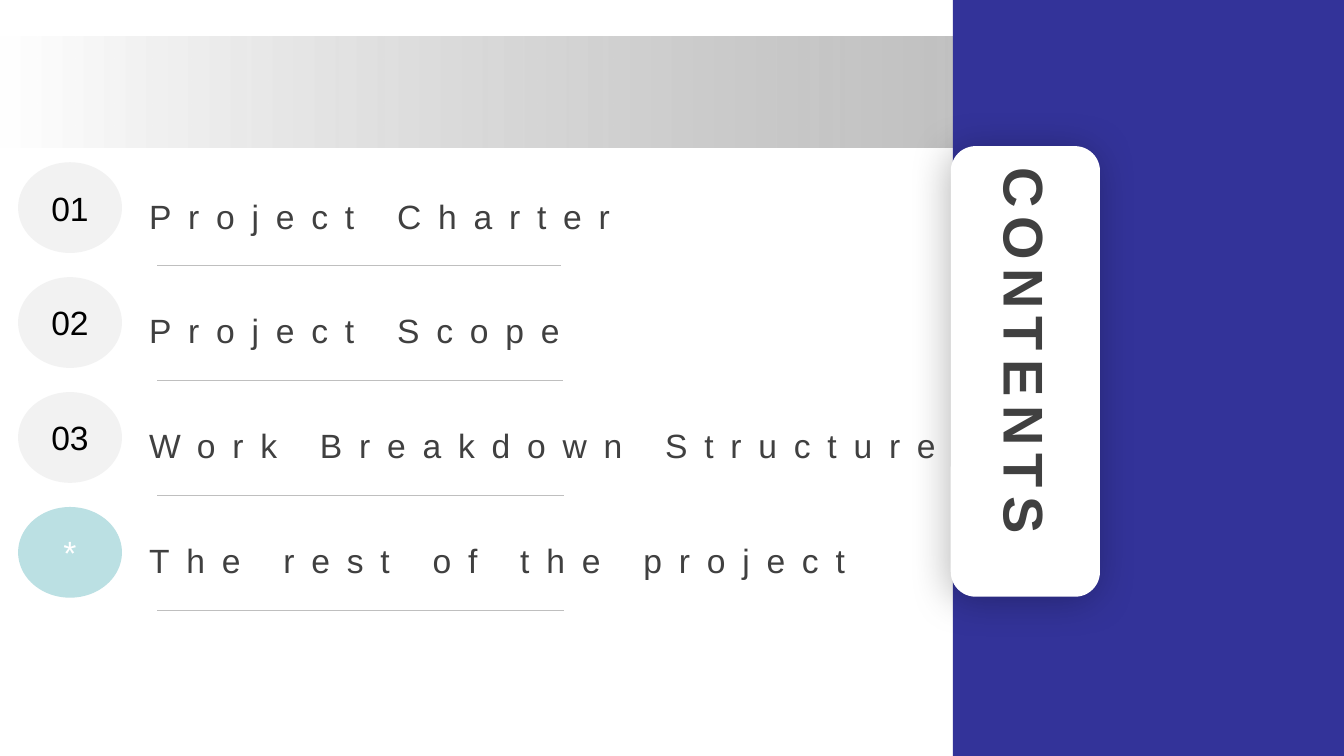
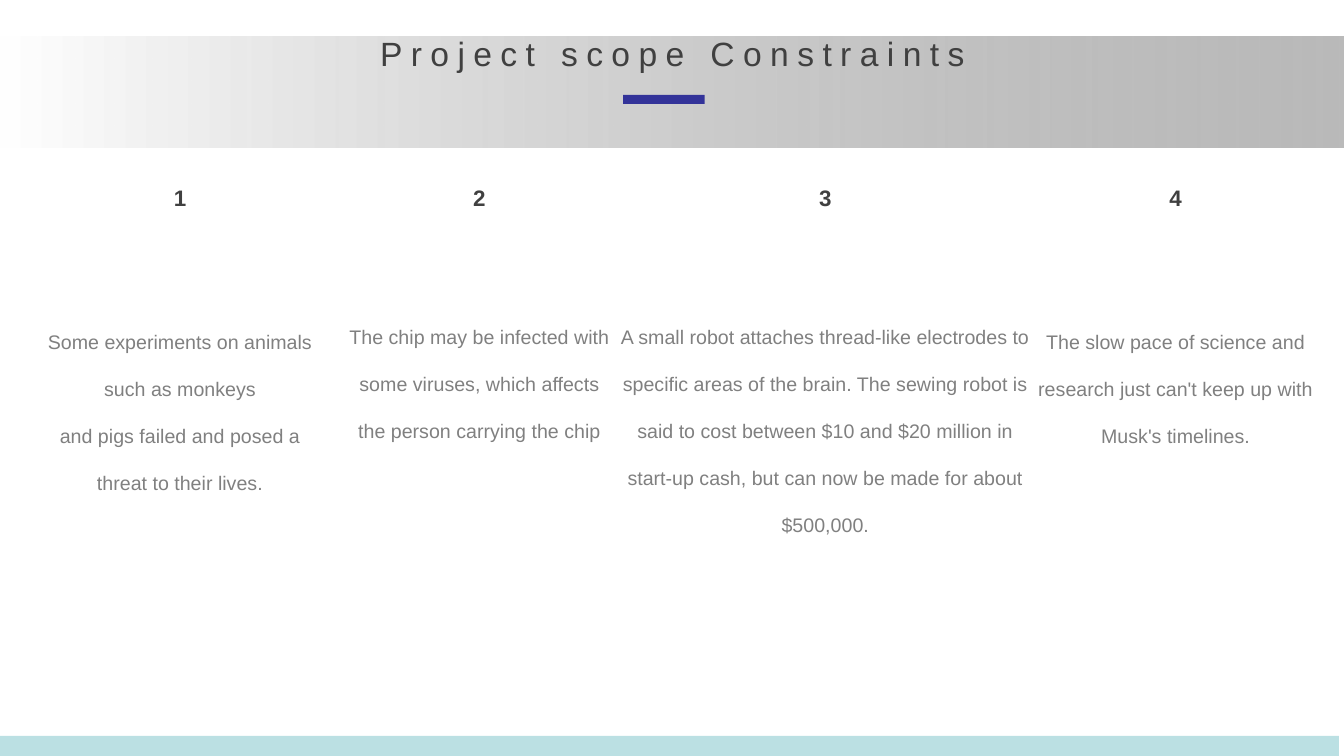
from lxml import etree
from pptx import Presentation
from pptx.dml.color import RGBColor
from pptx.enum.shapes import MSO_CONNECTOR, MSO_SHAPE
from pptx.enum.text import MSO_ANCHOR, MSO_AUTO_SIZE, PP_ALIGN
from pptx.oxml.ns import qn
from pptx.util import Inches, Pt

RECT, ROUND, OVAL = MSO_SHAPE.RECTANGLE, MSO_SHAPE.ROUNDED_RECTANGLE, MSO_SHAPE.OVAL
LEFT, CENTER = PP_ALIGN.LEFT, PP_ALIGN.CENTER
TOP, MIDDLE = MSO_ANCHOR.TOP, MSO_ANCHOR.MIDDLE
GROW, FIXED = MSO_AUTO_SIZE.SHAPE_TO_FIT_TEXT, MSO_AUTO_SIZE.NONE
STRAIGHT = MSO_CONNECTOR.STRAIGHT

FONT = "Arial"
WHITE, BLACK = "FFFFFF", "000000"
INDIGO, AQUA = "333399", "BBE0E3"
DARK, GREY, RULE, PALE = "404040", "808080", "BFBFBF", "F2F2F2"


def add_box(s, kind, box, color):
    sp = s.shapes.add_shape(kind, *[Inches(v) for v in box])
    sp.shadow.inherit = False
    sp.fill.solid()
    sp.fill.fore_color.rgb = RGBColor.from_string(color)
    sp.line.fill.background()
    return sp


def write(sp, lines, size, color, box=None, align=CENTER, anchor=TOP,
          bold=False, spacing=0, leading=1.0, wrap=True, fit=GROW):
    if box:
        sp.left, sp.top, sp.width, sp.height = [Inches(v) for v in box]
    tf = sp.text_frame
    tf.word_wrap = wrap
    tf.auto_size = fit
    tf.vertical_anchor = anchor
    for i, line in enumerate(lines):
        p = tf.add_paragraph() if i else tf.paragraphs[0]
        p.alignment = align
        p.line_spacing = leading
        r = p.add_run()
        r.text = line
        r.font.name = FONT
        r.font.size = Pt(size)
        r.font.bold = bold
        r.font.color.rgb = RGBColor.from_string(color)
        if spacing:
            r.font._element.set("spc", str(spacing * 100))


prs = Presentation()
prs.slide_width, prs.slide_height = Inches(13.33), Inches(7.5)
layout = prs.slide_layouts[5]

s = prs.slides.add_slide(layout)
band = add_box(s, RECT, (0, 0.36, 13.33, 1.1), WHITE)
band.fill.gradient()
band.fill.gradient_angle = 0
for stop, color in zip(band.fill.gradient_stops, (WHITE, GREY)):
    stop.color.rgb = RGBColor.from_string(color)
clr = band._element.spPr.findall(".//" + qn("a:srgbClr"))[-1]
etree.SubElement(clr, qn("a:alpha"), val="54000")
prs.slide_master.shapes._spTree.insert(2, band._element)

add_box(s, RECT, (9.45, 0, 3.88, 7.5), INDIGO)
card = add_box(s, ROUND, (9.43, 1.45, 1.48, 4.47), WHITE)
effects = card._element.spPr.find(qn("a:effectLst"))
shadow = etree.SubElement(effects, qn("a:outerShdw"), blurRad=str(Pt(29)),
                          dist=str(Pt(3)), dir=str(135 * 60000), rotWithShape="0")
clr = etree.SubElement(shadow, qn("a:srgbClr"), val=BLACK)
etree.SubElement(clr, qn("a:alpha"), val="27000")

title = s.shapes.title
s.shapes._spTree.append(title._element)
write(title, ["CONTENTS"], 40, DARK, (9.74, 1.61, 0.87, 4.08), bold=True, spacing=6)
title.text_frame._txBody.bodyPr.set("vert", "eaVert")

items = [
    ("01", "Project Charter", PALE, BLACK, 6.27, 5.56),
    ("02", "Project Scope", PALE, BLACK, 8.11, 5.58),
    ("03", "Work Breakdown Structure", PALE, BLACK, 9.23, 5.59),
    ("*", "The rest of the project", AQUA, WHITE, 8.21, 5.59),
]
for i, (mark, label, fill, ink, width, end) in enumerate(items):
    y = 1.61 + 1.14 * i
    badge = add_box(s, OVAL, (0.18, y, 1.03, 0.9), fill)
    write(badge, [mark], 24, ink, anchor=MIDDLE, fit=FIXED)
    tb = s.shapes.add_textbox(0, 0, 0, 0)
    write(tb, [label], 24, DARK, (1.38, y + 0.2, width, 0.5), align=LEFT,
          spacing=12, leading=1.2, fit=FIXED)
    rule = s.shapes.add_connector(STRAIGHT, Inches(1.56), Inches(y + 1.02),
                                  Inches(end), Inches(y + 1.02))
    rule.line.color.rgb = RGBColor.from_string(RULE)
    rule.line.width = Pt(0.25)
    etree.SubElement(rule._element.spPr, qn("a:effectLst"))

s = prs.slides.add_slide(layout)
constraints = [
    (0.24, 2.99, 3.09, 1.98, ["Some experiments on animals such as monkeys",
                              "and pigs failed and posed a threat to their lives."]),
    (3.33, 2.94, 2.85, 1.51, ["The chip may be infected with some viruses, which affects "
                              "the person carrying the chip"]),
    (5.99, 2.94, 4.39, 2.46, ["A small robot attaches thread-like electrodes to",
                              "specific areas of the brain. The sewing robot is said to cost "
                              "between $10 and $20 million in start-up cash, but can now be "
                              "made for about $500,000."]),
    (10.14, 2.99, 3.04, 1.51, ["The slow pace of science and research just can't keep up "
                               "with Musk's timelines."]),
]
for n, (x, y, w, h, lines) in enumerate(constraints, 1):
    tb = s.shapes.add_textbox(0, 0, 0, 0)
    write(tb, lines, 14, GREY, (x, y, w, h), leading=2.0)
    tb = s.shapes.add_textbox(0, 0, 0, 0)
    write(tb, [str(n)], 16, DARK, (x + (w - 1.19) / 2, 1.78, 1.19, 0.37), bold=True)

add_box(s, RECT, (-0.05, 7.3, 13.33, 0.22), AQUA)
add_box(s, RECT, (6.18, 0.94, 0.81, 0.09), INDIGO)
title = s.shapes.title
s.shapes._spTree.append(title._element)
write(title, ["Project scope Constraints"], 24, DARK, (3.63, 0.28, 6.08, 0.5),
      spacing=6, wrap=False)

prs.save("out.pptx")
